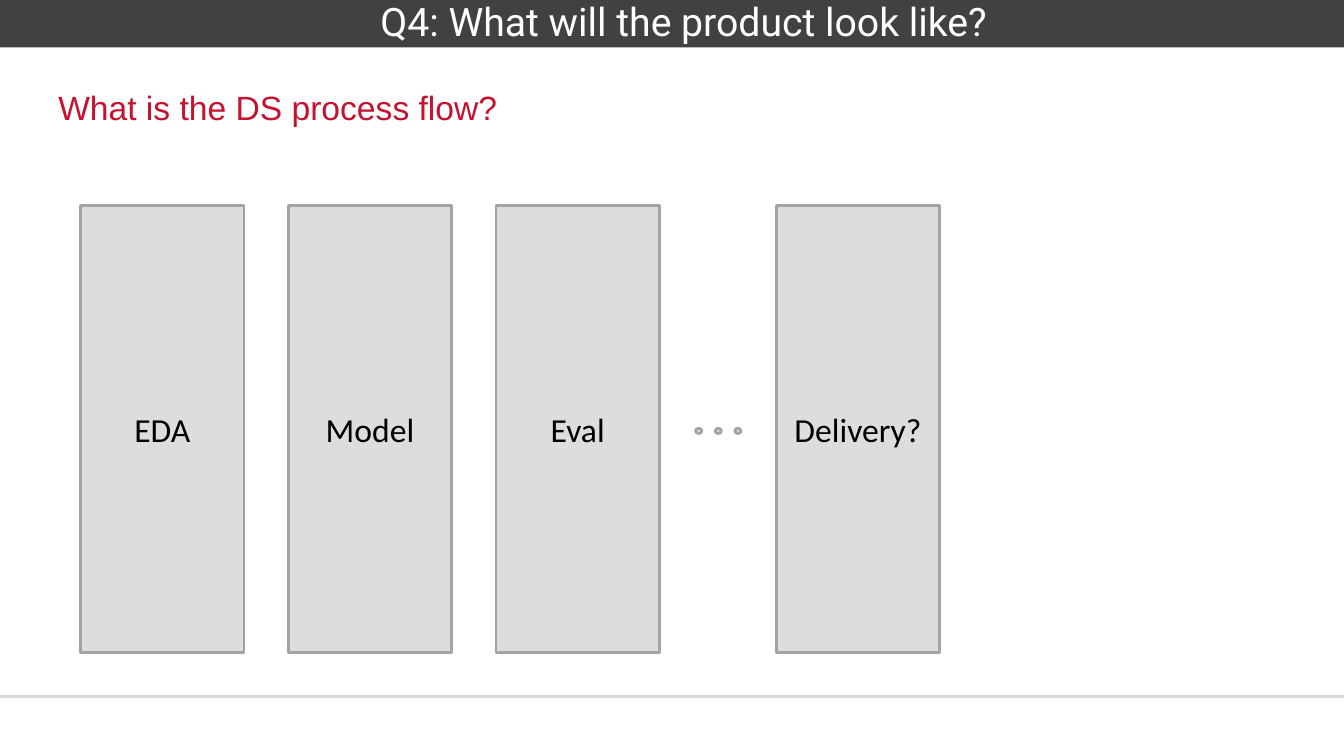
from dataclasses import dataclass

from lxml.etree import SubElement
from pptx import Presentation
from pptx.dml.color import RGBColor
from pptx.enum.shapes import MSO_CONNECTOR, MSO_SHAPE
from pptx.enum.text import MSO_ANCHOR, PP_ALIGN
from pptx.oxml.ns import qn
from pptx.shapes.autoshape import Shape
from pptx.slide import Slide
from pptx.text.text import TextFrame
from pptx.util import Inches, Pt


@dataclass(frozen=True)
class TextStyle:
    font: str
    size: int
    color: str
    align: PP_ALIGN = PP_ALIGN.CENTER


@dataclass(frozen=True)
class Theme:
    header: str = "414042"
    rule: str = "D8D8D8"
    fill: str = "DDDDDD"
    outline: str = "A3A3A3"
    line_width: int = 2
    title: TextStyle = TextStyle("Roboto", 28, "FFFFFF")
    question: TextStyle = TextStyle("Arial", 24, "C41230", PP_ALIGN.LEFT)
    stage: TextStyle = TextStyle("Calibri", 24, "000000")


@dataclass(frozen=True)
class Area:
    left: float
    top: float
    width: float
    height: float

    def lengths(self) -> tuple[Inches, ...]:
        return tuple(map(Inches, (self.left, self.top, self.width, self.height)))


@dataclass(frozen=True)
class Stage:
    label: str
    left: float


THEME = Theme()
PAGE_WIDTH, PAGE_HEIGHT = 13.33, 7.5
FIRST_LEFT, STAGE_STEP = 0.8, 2.06
STAGE_TOP, STAGE_WIDTH, STAGE_HEIGHT = 2.04, 1.62, 4.43
DOT_LEFT, DOT_STEP, DOT_COUNT = 6.9, 0.195, 3
STAGES = [
    Stage(label, FIRST_LEFT + index * STAGE_STEP)
    for index, label in enumerate(("EDA", "Model", "Eval"))
] + [Stage("Delivery?", 7.7)]


def write_text(frame: TextFrame, text: str, style: TextStyle) -> None:
    frame.text = text
    para = frame.paragraphs[0]
    para.alignment = style.align
    font = para.runs[0].font
    font.name = style.font
    font.size = Pt(style.size)
    font.color.rgb = RGBColor.from_string(style.color)


def add_label(page: Slide, area: Area, text: str, style: TextStyle) -> TextFrame:
    frame = page.shapes.add_textbox(*area.lengths()).text_frame
    write_text(frame, text, style)
    return frame


def add_figure(
    page: Slide, kind: MSO_SHAPE, area: Area, fill: str, outline: str | None = None
) -> Shape:
    figure = page.shapes.add_shape(kind, *area.lengths())
    figure.shadow.inherit = False
    figure.fill.solid()
    figure.fill.fore_color.rgb = RGBColor.from_string(fill)
    if outline is None:
        figure.line.fill.background()
    else:
        figure.line.color.rgb = RGBColor.from_string(outline)
        figure.line.width = Pt(THEME.line_width)
    return figure


def add_rule(page: Slide, top: float) -> None:
    rule = page.shapes.add_connector(
        MSO_CONNECTOR.STRAIGHT, Inches(0), Inches(top), Inches(PAGE_WIDTH), Inches(top)
    )
    rule.line.color.rgb = RGBColor.from_string(THEME.rule)
    rule.line.width = Pt(THEME.line_width)
    SubElement(rule._element.spPr, qn("a:effectLst"))


def add_header(page: Slide, title: str) -> None:
    add_figure(page, MSO_SHAPE.RECTANGLE, Area(0, 0, PAGE_WIDTH, 0.47), THEME.header)
    frame = add_label(page, Area(1.03, -0.03, 11.5, 0.47), title, THEME.title)
    frame.word_wrap = True
    frame.margin_left = frame.margin_right = 0
    frame.margin_top = frame.margin_bottom = 0


def add_stage(page: Slide, stage: Stage) -> None:
    area = Area(stage.left, STAGE_TOP, STAGE_WIDTH, STAGE_HEIGHT)
    box = add_figure(page, MSO_SHAPE.RECTANGLE, area, THEME.fill, THEME.outline)
    box.text_frame.vertical_anchor = MSO_ANCHOR.MIDDLE
    write_text(box.text_frame, stage.label, THEME.stage)


def add_dots(page: Slide) -> None:
    for index in range(DOT_COUNT):
        area = Area(DOT_LEFT + index * DOT_STEP, 4.25, 0.06, 0.05)
        add_figure(page, MSO_SHAPE.OVAL, area, THEME.fill, THEME.outline)


def main() -> None:
    deck = Presentation()
    deck.slide_width, deck.slide_height = Inches(PAGE_WIDTH), Inches(PAGE_HEIGHT)
    page = deck.slides.add_slide(deck.slide_layouts[6])
    add_header(page, "Q4: What will the product look like?")
    add_rule(page, 6.91)
    question = Area(0.48, 0.81, 4.6, 0.5)
    add_label(page, question, "What is the DS process flow?", THEME.question)
    for stage in STAGES:
        add_stage(page, stage)
    add_dots(page)
    deck.save("out.pptx")


if __name__ == "__main__":
    main()
